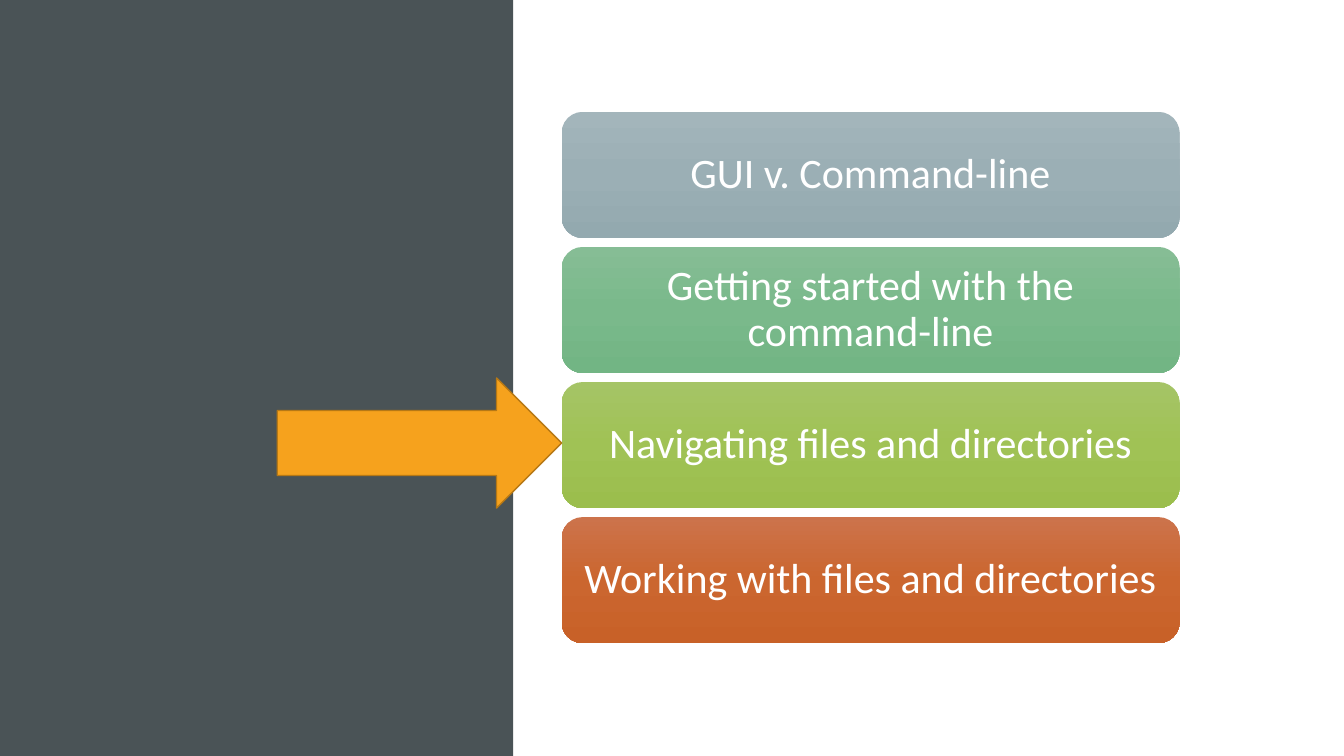
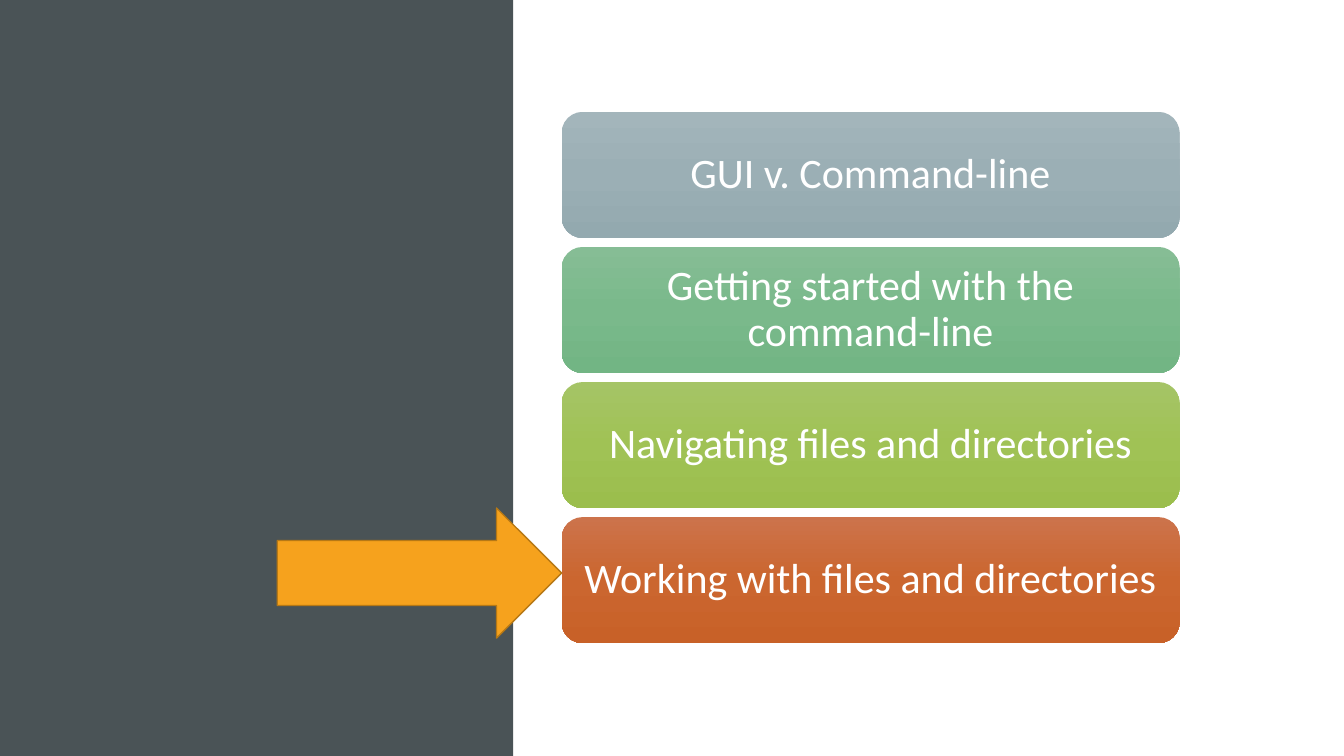
from copy import deepcopy

from pptx import Presentation
from pptx import util as u
from pptx.dml.color import RGBColor
from pptx.enum import shapes, text
from pptx.oxml.ns import qn

# Colours and type
WHITE = RGBColor(0xFF, 0xFF, 0xFF)
SLATE = RGBColor(0x4A, 0x53, 0x56)
ORANGE = RGBColor(0xF6, 0xA2, 0x1D)
ORANGE_EDGE = RGBColor(0xB6, 0x78, 0x15)
GREYS = [RGBColor(0xA3, 0xB5, 0xBB), RGBColor(0x9B, 0xAF, 0xB5), RGBColor(0x93, 0xA9, 0xAF)]
GREENS = [RGBColor(0x86, 0xBD, 0x95), RGBColor(0x7A, 0xB9, 0x8B), RGBColor(0x72, 0xB5, 0x84)]
LIMES = [RGBColor(0xA5, 0xC4, 0x66), RGBColor(0xA0, 0xC2, 0x55), RGBColor(0x9B, 0xBE, 0x4D)]
RUSTS = [RGBColor(0xCC, 0x73, 0x4B), RGBColor(0xCB, 0x66, 0x2F), RGBColor(0xC8, 0x61, 0x28)]
FONT = "Calibri"

# Grid, in inches
SLIDE_WIDTH, SLIDE_HEIGHT = 13.33, 7.5
BAND_WIDTH = 5.09
TOPIC_LEFT, TOPIC_TOP = 5.57, 1.11
TOPIC_WIDTH, TOPIC_HEIGHT = 6.13, 1.25
TOPIC_PITCH = 1.34
TOPIC_INSET = 0.12
ARROW_WIDTH, ARROW_HEIGHT = 2.82, 1.29
ARROW_TOP = 1.17

TOPICS = [
    ("GUI v. Command-line", GREYS),
    ("Getting started with the command-line", GREENS),
    ("Navigating files and directories", LIMES),
    ("Working with files and directories", RUSTS),
]
CURRENT_TOPICS = [2, 3]


def add_box(page, kind, left, top, width, height, fill=None):
    """Add a preset shape without shadow or outline."""
    box = page.shapes.add_shape(kind, *map(u.Inches, (left, top, width, height)))
    box.shadow.inherit = False
    box.line.fill.background()
    if fill is not None:
        box.fill.solid()
        box.fill.fore_color.rgb = fill
    return box


def shade(box, colours):
    """Fill a box from top to bottom with three evenly spaced colours."""
    box.fill.gradient()
    box.fill.gradient_angle = 270
    first = next(box._element.spPr.iter(qn("a:gs")))
    first.addnext(deepcopy(first))
    for position, (stop, colour) in enumerate(zip(box.fill.gradient_stops, colours)):
        stop.position = position / 2
        stop.color.rgb = colour


def add_topic(page, row, label, colours):
    box = add_box(page, shapes.MSO_SHAPE.ROUNDED_RECTANGLE, TOPIC_LEFT,
                  TOPIC_TOP + row * TOPIC_PITCH, TOPIC_WIDTH, TOPIC_HEIGHT)
    shade(box, colours)
    frame = box.text_frame
    frame.word_wrap = True
    frame.vertical_anchor = text.MSO_ANCHOR.MIDDLE
    frame.margin_left = frame.margin_right = u.Inches(TOPIC_INSET)
    frame.margin_top = frame.margin_bottom = u.Inches(TOPIC_INSET)
    para = frame.paragraphs[0]
    para.text = label
    para.alignment = text.PP_ALIGN.CENTER
    para.line_spacing = 0.9
    para.font.name = FONT
    para.font.size = u.Pt(30)
    para.font.color.rgb = WHITE


def add_pointer(page, row):
    """Point at the topic in this row from the left."""
    arrow = add_box(page, shapes.MSO_SHAPE.RIGHT_ARROW, TOPIC_LEFT - ARROW_WIDTH,
                    ARROW_TOP + row * ARROW_HEIGHT, ARROW_WIDTH, ARROW_HEIGHT, ORANGE)
    arrow.line.color.rgb = ORANGE_EDGE
    arrow.line.width = u.Pt(1)


def add_agenda(deck, current):
    page = deck.slides.add_slide(deck.slide_layouts[6])
    add_box(page, shapes.MSO_SHAPE.RECTANGLE, 0, 0, BAND_WIDTH, SLIDE_HEIGHT, SLATE)
    for row, (label, colours) in enumerate(TOPICS):
        add_topic(page, row, label, colours)
    add_pointer(page, current)


def main():
    deck = Presentation()
    deck.slide_width = u.Inches(SLIDE_WIDTH)
    deck.slide_height = u.Inches(SLIDE_HEIGHT)
    for current in CURRENT_TOPICS:
        add_agenda(deck, current)
    deck.save("out.pptx")


main()
